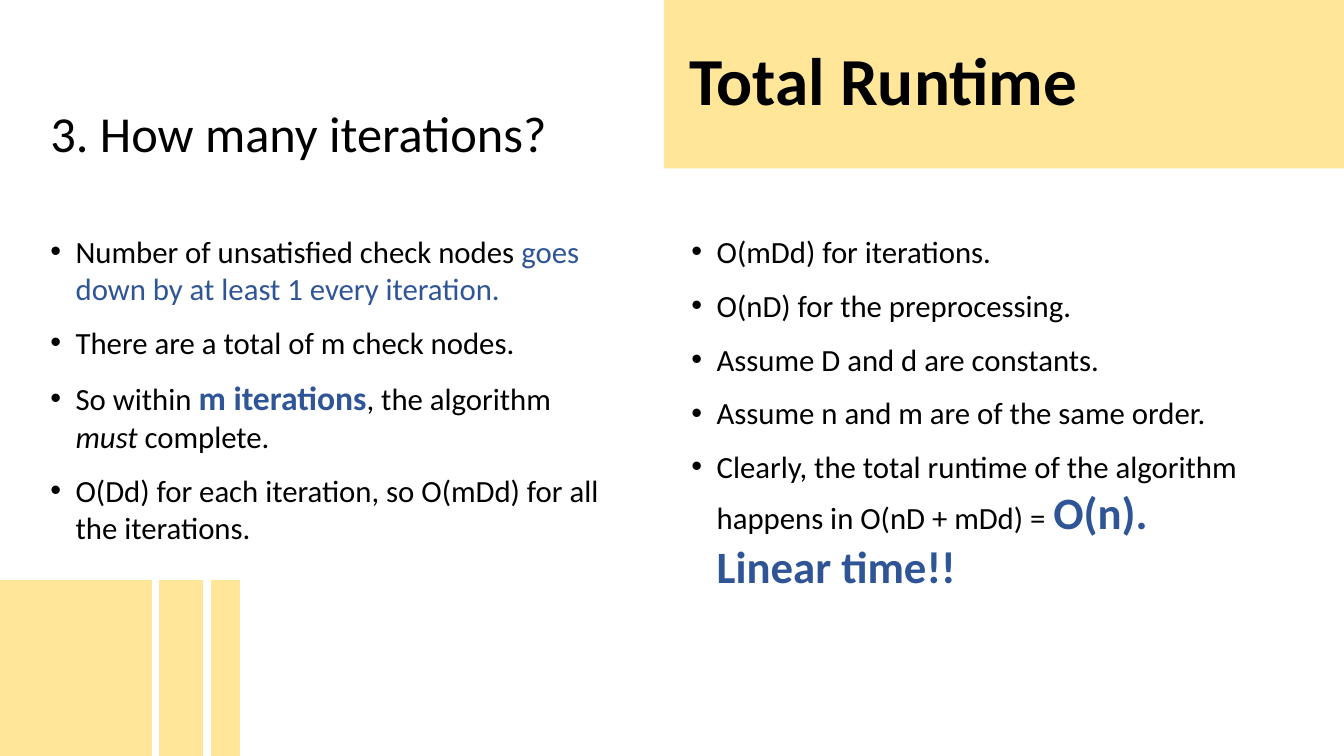
import pptx
import pptx.dml.color
import pptx.enum.shapes
import pptx.enum.text
import pptx.util

BLACK = pptx.dml.color.RGBColor(0x00, 0x00, 0x00)
BLUE = pptx.dml.color.RGBColor(0x2F, 0x55, 0x97)
CREAM = pptx.dml.color.RGBColor(0xFF, 0xE6, 0x99)
FONT = "Calibri"
SLIDE_WIDTH = pptx.util.Inches(13.33)
SLIDE_HEIGHT = pptx.util.Inches(7.5)
ANCHOR = pptx.enum.text.MSO_ANCHOR

TITLE_BOX = (49.4, 0, 50.6, 22.27)
HEADING_BOX = (3, 9.6, 39.45, 12.67)
ITERATIONS_BOX = (3, 30.13, 42.53, 43.07)
RUNTIME_BOX = (50.7, 30.13, 42.53, 63.47)
STRIPES_BOX = (0, 76.8, 17.78, 23.2)
STRIPE_SPANS = [(0, 63.3), (66.65, 18.1), (88.6, 11.4)]

PLAIN = {}
COLOURED = {"color": BLUE}
STRONG = {"color": BLUE, "bold": True, "size": 24}
CONCLUSION = {"color": BLUE, "bold": True, "size": 32}

ITERATIONS = [
    [("Number of unsatisfied check nodes ", PLAIN),
     ("goes down by at least 1 every iteration.", COLOURED)],
    [("There are a total of m check nodes.", PLAIN)],
    [("So within ", PLAIN), ("m iterations", STRONG),
     (", the algorithm ", PLAIN), ("must", {"italic": True}),
     ("\u00a0complete.", PLAIN)],
    [("O(Dd) for each iteration, so O(mDd) for all the iterations.", PLAIN)],
]
RUNTIME = [
    [("O(mDd) for iterations.", PLAIN)],
    [("O(nD) for the\u00a0preprocessing.", PLAIN)],
    [("Assume D and d are constants.", PLAIN)],
    [("Assume n and m are of the same order.", PLAIN)],
    [("Clearly, the total runtime of the algorithm happens in O(nD + mDd) =", PLAIN),
     ("\u00a0", {"size": 24}), ("O(n). Linear time!!", CONCLUSION)],
]


def to_lengths(box):
    """Turn percentages of the slide into left, top, width and height."""
    sides = (SLIDE_WIDTH, SLIDE_HEIGHT) * 2
    return [int(side * share / 100) for side, share in zip(sides, box)]


def place(shape, box):
    """Move a shape into a box given in percentages of the slide."""
    shape.left, shape.top, shape.width, shape.height = to_lengths(box)


def style_font(font, size=None, color=None, bold=None, italic=None):
    """Apply the given settings to a font and leave the others inherited."""
    if size is not None:
        font.size = pptx.util.Pt(size)
    if color is not None:
        font.color.rgb = color
    if bold is not None:
        font.bold = bold
    if italic is not None:
        font.italic = italic


def write_heading(shape, text, size, anchor, bold):
    """Write one left-aligned heading line in a shape."""
    frame = shape.text_frame
    frame.word_wrap = True
    frame.auto_size = pptx.enum.text.MSO_AUTO_SIZE.NONE
    frame.vertical_anchor = anchor
    paragraph = frame.paragraphs[0]
    paragraph.text = text
    paragraph.alignment = pptx.enum.text.PP_ALIGN.LEFT
    paragraph.line_spacing = 0.9
    paragraph.font.name = FONT
    style_font(paragraph.font, size, BLACK, bold)


def add_title(slide, box):
    """Place the title on its coloured band."""
    title = slide.shapes.title
    place(title, box)
    title.fill.solid()
    title.fill.fore_color.rgb = CREAM
    write_heading(title, "\u00a0Total Runtime", 48, ANCHOR.MIDDLE, True)


def add_question(slide, box):
    """Add the heading of the left column."""
    heading = slide.shapes.add_textbox(*to_lengths(box))
    write_heading(heading, "3. How many iterations?", 36, ANCHOR.BOTTOM, False)


def fill_list(placeholder, box, items):
    """Place a body placeholder and write its bulleted items."""
    place(placeholder, box)
    frame = placeholder.text_frame
    frame.word_wrap = True
    frame.auto_size = pptx.enum.text.MSO_AUTO_SIZE.NONE
    for index, item in enumerate(items):
        paragraph = frame.add_paragraph() if index else frame.paragraphs[0]
        paragraph.space_before = pptx.util.Pt(12)
        paragraph.font.name = FONT
        style_font(paragraph.font, 22, BLACK)
        properties = paragraph._p.get_or_add_pPr()
        properties.set("marL", str(pptx.util.Inches(0.25)))
        properties.set("indent", str(-pptx.util.Inches(0.25)))
        for text, style in item:
            run = paragraph.add_run()
            run.text = text
            style_font(run.font, **style)


def add_stripes(slide, box):
    """Add the narrowing stripes across a box."""
    left, top, width, height = box
    for start, share in STRIPE_SPANS:
        stripe = slide.shapes.add_shape(
            pptx.enum.shapes.MSO_SHAPE.RECTANGLE,
            *to_lengths((left + width * start / 100, top, width * share / 100, height)))
        stripe.shadow.inherit = False
        stripe.fill.solid()
        stripe.fill.fore_color.rgb = CREAM
        stripe.line.color.rgb = CREAM
        stripe.line.width = pptx.util.Pt(1)


def build_slide(presentation):
    """Build the two-column runtime slide."""
    slide = presentation.slides.add_slide(presentation.slide_layouts[3])
    add_title(slide, TITLE_BOX)
    fill_list(slide.placeholders[1], ITERATIONS_BOX, ITERATIONS)
    fill_list(slide.placeholders[2], RUNTIME_BOX, RUNTIME)
    add_question(slide, HEADING_BOX)
    add_stripes(slide, STRIPES_BOX)


presentation = pptx.Presentation()
presentation.slide_width = SLIDE_WIDTH
presentation.slide_height = SLIDE_HEIGHT
build_slide(presentation)
presentation.save("out.pptx")
